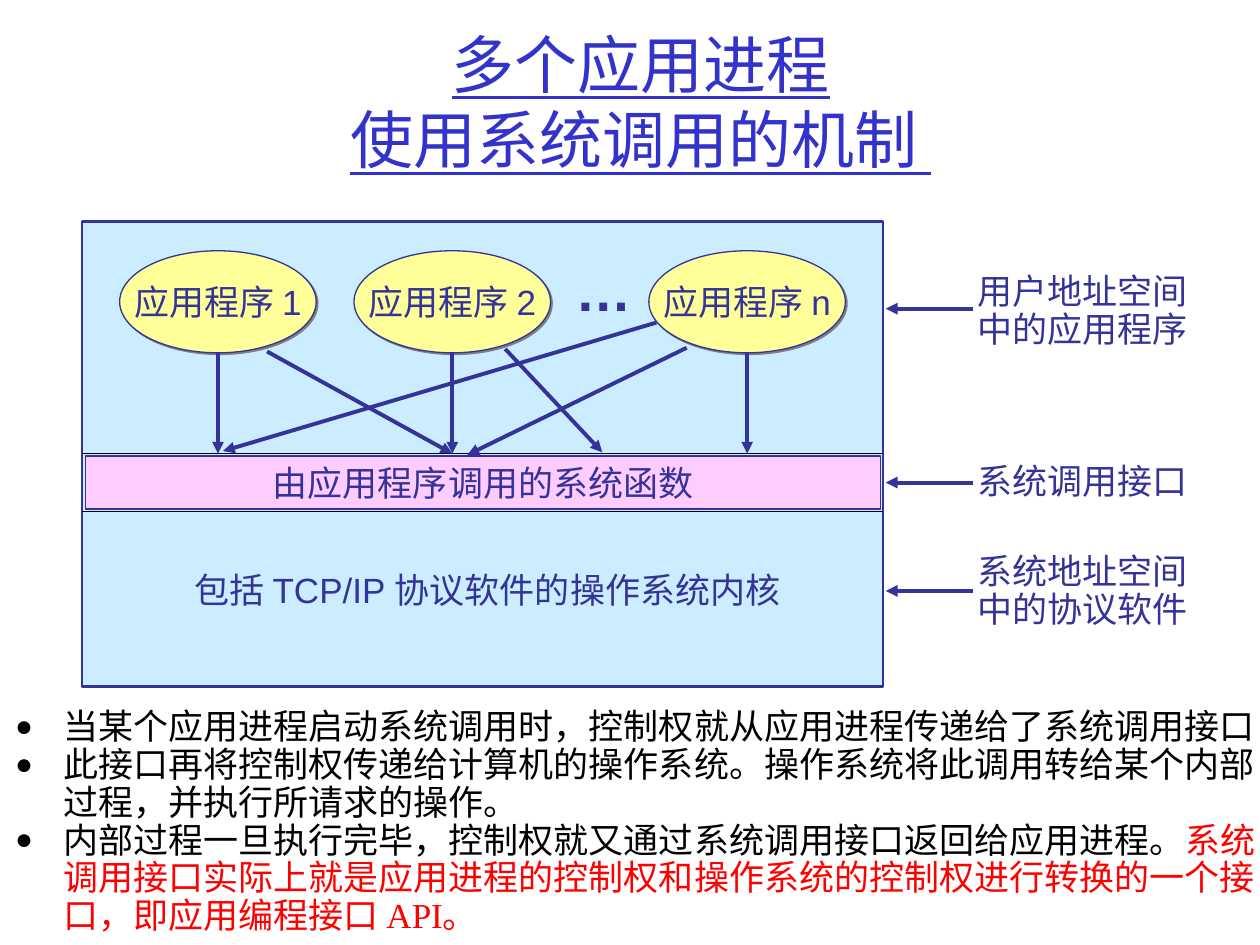
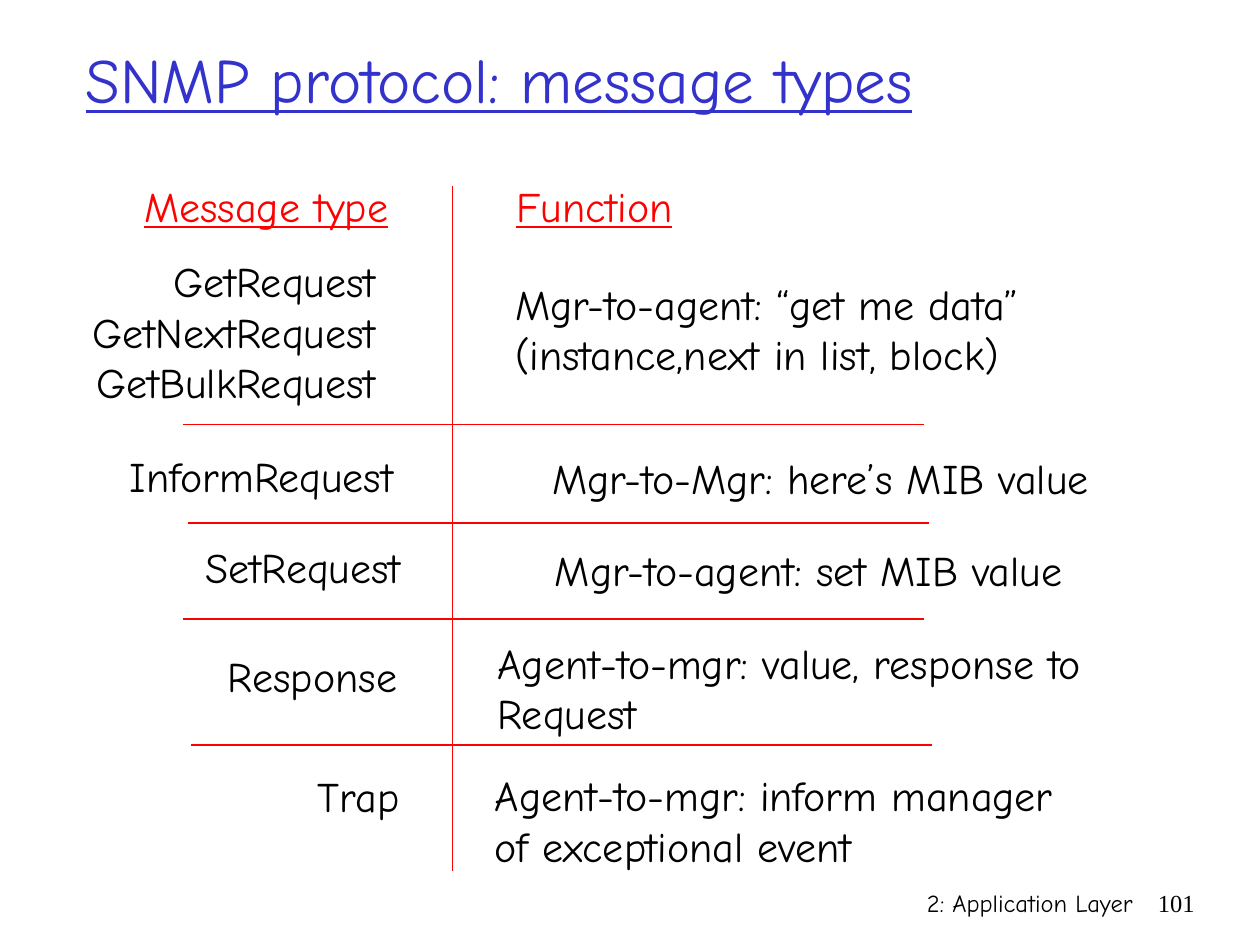
from lxml.etree import SubElement
from pptx import Presentation
from pptx.dml.color import RGBColor
from pptx.enum.shapes import MSO_CONNECTOR, MSO_SHAPE
from pptx.enum.text import MSO_ANCHOR, MSO_AUTO_SIZE, PP_ALIGN
from pptx.oxml.ns import qn
from pptx.util import Inches, Pt

COLORS = {
    "title": "3333CC", "navy": "333399", "black": "000000", "red": "FF0000",
    "sky": "CCECFF", "yellow": "FFFF99", "pink": "FFCCFF", "gray": "808080",
}
RGB = {name: RGBColor.from_string(value) for name, value in COLORS.items()}
LEFT, CENTER, RIGHT = PP_ALIGN.LEFT, PP_ALIGN.CENTER, PP_ALIGN.RIGHT

prs = Presentation()
prs.slide_width, prs.slide_height = Inches(10), Inches(7.5)
U = prs.slide_width // 100  # the grid has 100 columns and 75 rows
TITLE = {"size": 36, "font": "Comic Neue", "color": "title", "underline": True}
DIAGRAM = {"size": 20, "font": "Arial", "color": "navy", "align": CENTER, "wrap": False}
TABLE = {"size": 24, "font": "Comic Neue"}


def write(sp, box, text, size, font, color="black", align=LEFT, wrap=True,
          spacing=1.0, underline=None, bold=None, anchor=MSO_ANCHOR.TOP):
    """Place a shape on the grid and fill it with formatted text."""
    sp.left, sp.top, sp.width, sp.height = [round(v * U) for v in box]
    tf = sp.text_frame
    tf.text = text
    tf.auto_size, tf.word_wrap, tf.vertical_anchor = MSO_AUTO_SIZE.NONE, wrap, anchor
    for p in tf.paragraphs:
        p.alignment, p.line_spacing, p.space_before = align, spacing, Pt(0)
        for r in p.runs:
            r.font.size, r.font.name = Pt(size), font
            r.font.color.rgb = RGB[color]
            r.font.underline, r.font.bold = underline, bold
    return tf


def add_line(s, x1, y1, x2, y2, color, width, arrow=False):
    line = s.shapes.add_connector(MSO_CONNECTOR.STRAIGHT,
                                  *[round(v * U) for v in (x1, y1, x2, y2)])
    line.line.color.rgb, line.line.width = RGB[color], Pt(width)
    props = line._element.spPr
    if arrow:
        SubElement(props.find(qn("a:ln")), qn("a:tailEnd"), type="triangle")
    SubElement(props, qn("a:effectLst"))


# Slide 1: system calls
s = prs.slides.add_slide(prs.slide_layouts[1])
write(s.shapes.title, (10.4, 0, 80.9, 16), "多个应用进程\n使用系统调用的机制 ",
      align=CENTER, anchor=MSO_ANCHOR.MIDDLE, **TITLE)

FRAME_L, FRAME_R = 6.5, 70.1
APP_W, APP_TOP, APP_H = 15.6, 19.9, 8.1
apps = [("应用程序 1", 9.5), ("应用程序 2", 28.1), ("应用程序 n", 51.5)]
blocks = [
    (MSO_SHAPE.RECTANGLE, (FRAME_L, 17.6, FRAME_R - FRAME_L, 36.9), "", "sky", 1.5),
    (MSO_SHAPE.RECTANGLE, (6.8, 36.2, 63.1, 4.2), "由应用程序调用的系统函数", "pink", 0.75),
]
blocks += [(MSO_SHAPE.OVAL, (x, APP_TOP, APP_W, APP_H), name, "yellow", 0.75)
           for name, x in apps]
for kind, box, text, fill, width in blocks:
    sp = s.shapes.add_shape(kind, 0, 0, 0, 0)
    write(sp, box, text, anchor=MSO_ANCHOR.MIDDLE, **DIAGRAM)
    sp.fill.solid()
    sp.fill.fore_color.rgb = RGB[fill]
    sp.line.color.rgb, sp.line.width = RGB["navy"], Pt(width)
    sp.shadow.inherit = False
    if kind == MSO_SHAPE.OVAL:
        shadow = SubElement(sp._element.spPr.find(qn("a:effectLst")), qn("a:outerShdw"),
                            dist=str(Pt(1.4)), dir="2700000", algn="ctr", rotWithShape="0")
        SubElement(shadow, qn("a:srgbClr"), val=COLORS["gray"])

for y in (36, 40.6):
    add_line(s, FRAME_L, y, FRAME_R, y, "black", 0.75)

calls = [(x + APP_W / 2, 27.9, x + APP_W / 2, 36) for name, x in apps]
calls += [(21.2, 27.9, 35.9, 36), (54.5, 27.6, 37.1, 36.1),
          (52.1, 25.6, 17.7, 35.8), (40.1, 27.7, 47.8, 35.9)]
for ends in calls:
    add_line(s, *ends, "navy", 2.25, arrow=True)

write(s.shapes.add_textbox(0, 0, 0, 0), (44.7, 19.8, 6.4, 6.4), "…",
      bold=True, **{**DIAGRAM, "size": 32})
write(s.shapes.add_textbox(0, 0, 0, 0), (13.4, 44.6, 50.6, 4.4),
      "包括 TCP/IP 协议软件的操作系统内核", **DIAGRAM)

for text, top, height, arrow_y in [("用户地址空间\n中的应用程序", 21.3, 7, 24.5),
                                   ("系统调用接口", 36, 4.4, 38.3),
                                   ("系统地址空间\n中的协议软件", 43.5, 7, 46.9)]:
    write(s.shapes.add_textbox(0, 0, 0, 0), (76.6, top, 18.7, height), text,
          spacing=0.9 if "\n" in text else 1.0, **DIAGRAM)
    add_line(s, 77.2, arrow_y, 70.3, arrow_y, "navy", 2.25, arrow=True)

steps = [
    "当某个应用进程启动系统调用时，控制权就从应用进程传递给了系统调用接口",
    "此接口再将控制权传递给计算机的操作系统。操作系统将此调用转给某个内部过程，并执行所请求的操作。",
    "内部过程一旦执行完毕，控制权就又通过系统调用接口返回给应用进程。",
]
tf = write(s.placeholders[1], (0.2, 55.8, 101.8, 19), "\n".join(steps),
           20, "Times New Roman", spacing=0.9)
for p in tf.paragraphs:
    props = p._p.get_or_add_pPr()
    props.set("marL", str(Inches(0.38)))
    props.set("indent", str(-Inches(0.38)))
    SubElement(SubElement(props, qn("a:buClr")), qn("a:srgbClr"), val=COLORS["black"])
    SubElement(props, qn("a:buSzPct"), val="85000")
    SubElement(props, qn("a:buFont"), typeface="Times New Roman")
    SubElement(props, qn("a:buChar"), char="●")
r = tf.paragraphs[-1].add_run()
r.text = "系统调用接口实际上就是应用进程的控制权和操作系统的控制权进行转换的一个接口，即应用编程接口 API。"
r.font.size, r.font.name, r.font.color.rgb = Pt(20), "Times New Roman", RGB["red"]

# Slide 2: SNMP message types
s = prs.slides.add_slide(prs.slide_layouts[5])
write(s.shapes.title, (5.8, 0, 85, 12.5), "SNMP protocol: message types",
      anchor=MSO_ANCHOR.MIDDLE, **TITLE)

TYPE_L = 4
# text, left, right, top, alignment, colour
cells = [
    ("Message type", TYPE_L, 31.8, 13.8, RIGHT, "red"),
    ("Function", 40, 60, 13.8, LEFT, "red"),
    ("GetRequest\nGetNextRequest\nGetBulkRequest", TYPE_L, 30.8, 19.8, RIGHT, "black"),
    ("Mgr-to-agent: “get me data”\n(instance,next in list, block)", 39.9, 95, 21.6, LEFT, "black"),
    ("InformRequest", TYPE_L, 32.2, 35.3, RIGHT, "black"),
    ("Mgr-to-Mgr: here’s MIB value", 38.1, 87.4, 35.4, RIGHT, "black"),
    ("SetRequest", TYPE_L, 32.8, 42.5, RIGHT, "black"),
    ("Mgr-to-agent: set MIB value", 38.6, 85.3, 42.7, RIGHT, "black"),
    ("Response", TYPE_L, 32.5, 51.1, RIGHT, "black"),
    ("Agent-to-mgr: value, response to\nRequest", 38.5, 95, 50.1, LEFT, "black"),
    ("Trap", TYPE_L, 32.7, 60.7, RIGHT, "black"),
    ("Agent-to-mgr: inform manager\nof exceptional event", 38.3, 95, 60.6, LEFT, "black"),
]
for text, left, right, top, align, color in cells:
    height = 1 + 4 * len(text.split("\n"))
    write(s.shapes.add_textbox(0, 0, 0, 0), (left, top, right - left, height), text,
          color=color, align=align, underline=color == "red" or None, **TABLE)

for x, y in [(14.5, 33.7), (14.9, 41.5), (14.5, 49.1), (15.2, 59.1)]:
    add_line(s, x, y, x + 58.8, y, "red", 1)
add_line(s, 35.9, 14.8, 35.9, 69.1, "red", 0.75)

for text, left, width, font in [("2: Application Layer", 59.2, 31.7, "Comic Neue"),
                                ("101", 90.8, 5, "Times New Roman")]:
    write(s.shapes.add_textbox(0, 0, 0, 0), (left, 70, width, 5), text, 14, font, align=RIGHT)

prs.save("out.pptx")
